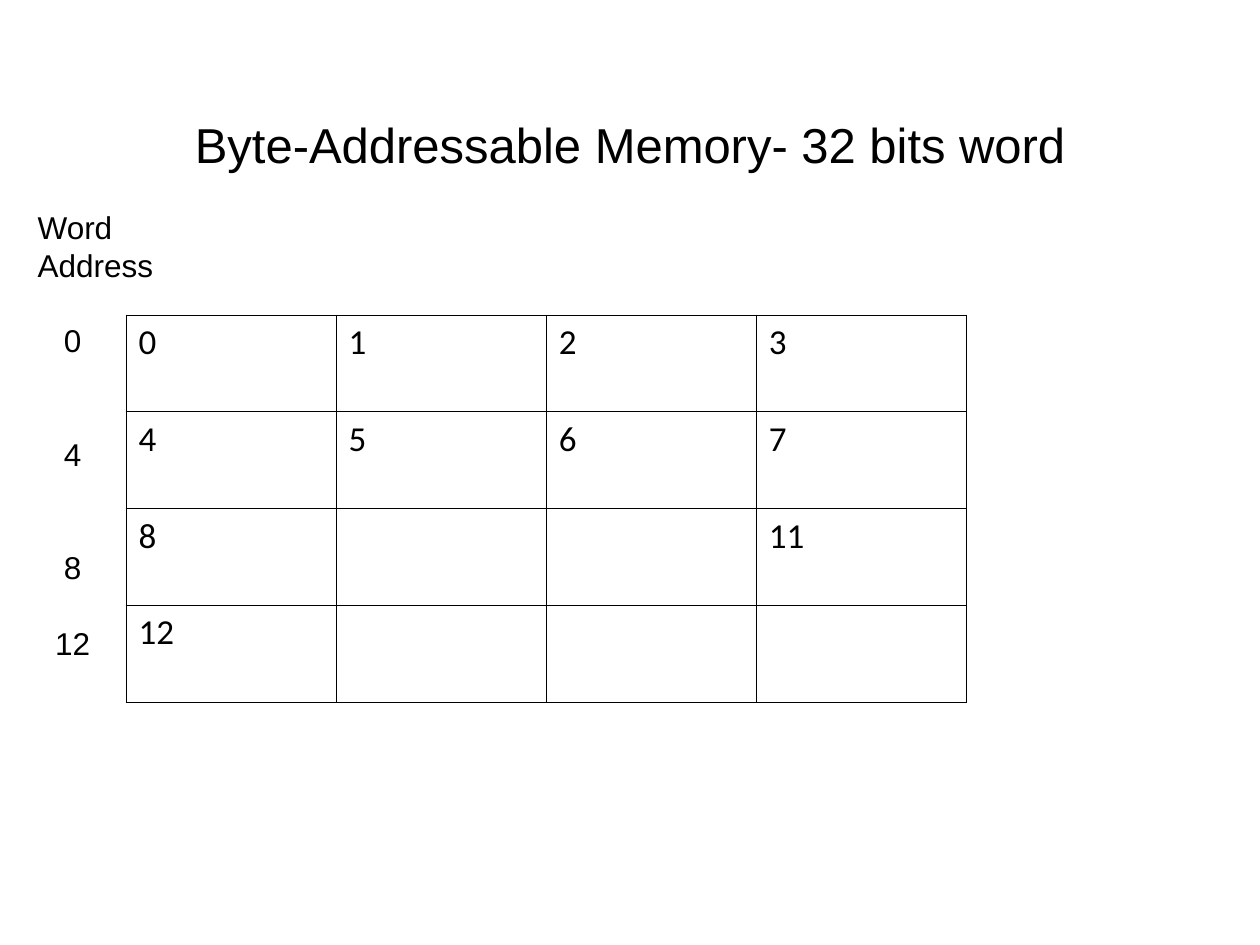
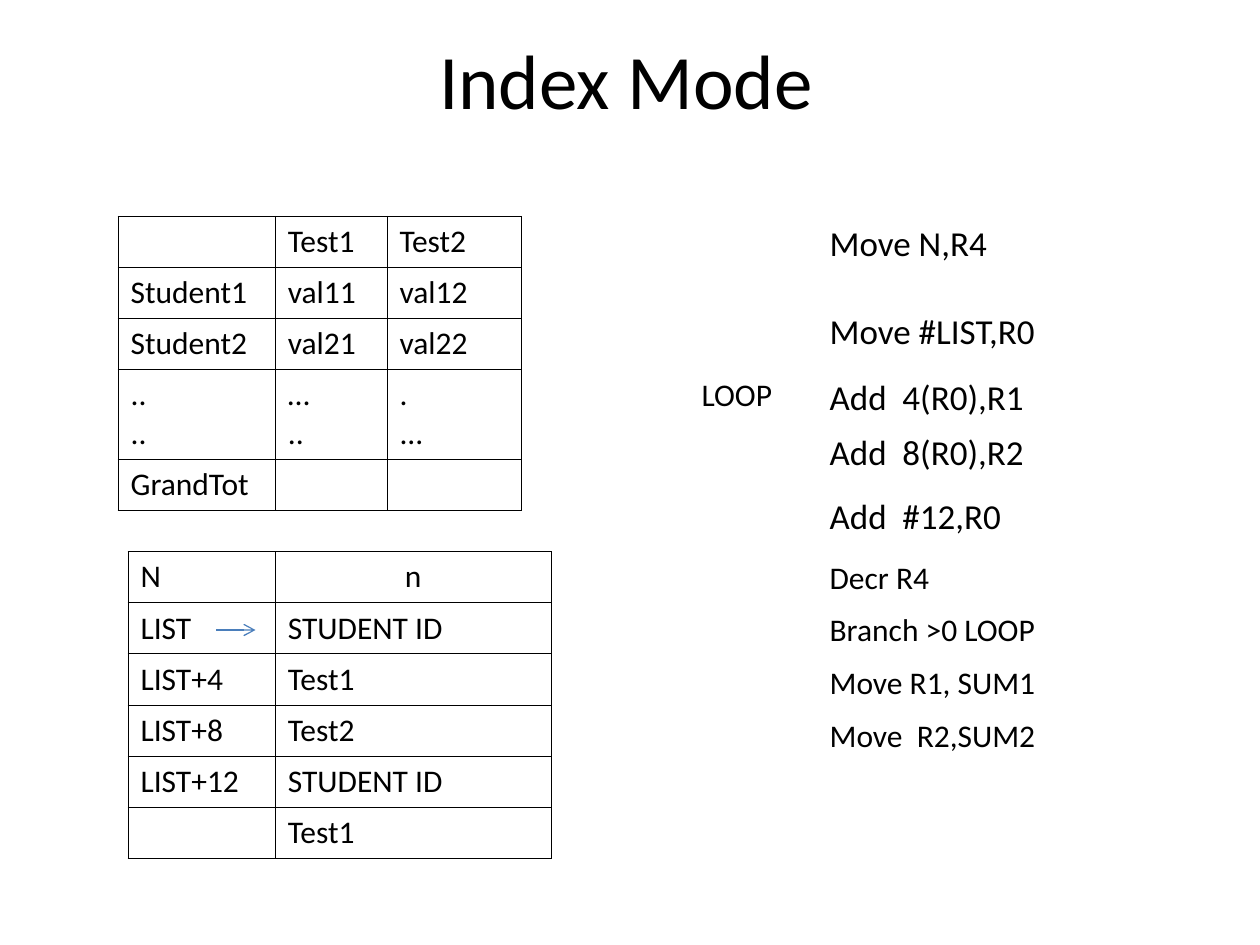
from dataclasses import dataclass

from lxml import etree
from pptx import Presentation
from pptx.dml.color import RGBColor
from pptx.enum.shapes import MSO_CONNECTOR
from pptx.enum.text import MSO_ANCHOR, MSO_AUTO_SIZE, PP_ALIGN
from pptx.oxml.ns import qn
from pptx.util import Cm, Pt

LINE = MSO_CONNECTOR.STRAIGHT
TOP, MIDDLE = MSO_ANCHOR.TOP, MSO_ANCHOR.MIDDLE
FIXED = MSO_AUTO_SIZE.NONE
CENTER = PP_ALIGN.CENTER


@dataclass(frozen=True)
class Theme:
    ink: str = "000000"
    paper: str = "FFFFFF"
    arrow: str = "4A7EBB"
    sans: str = "Arial"
    body: str = "Calibri"
    small: int = 18
    large: int = 20
    head: int = 28
    title: int = 44
    rule: float = 0.45
    thick: float = 1.47
    row: float = 1.03


THEME = Theme()


def style(par, face, size):
    par.font.name = face
    par.font.size = Pt(size)
    par.font.color.rgb = RGBColor.from_string(THEME.ink)


def add_slide(deck, text, box, face, size, anchor):
    """Add a title-only slide with its title set in box."""
    slide = deck.slides.add_slide(deck.slide_layouts[5])
    title = slide.shapes.title
    title.left, title.top, title.width, title.height = map(Cm, box)
    frame = title.text_frame
    frame.text = text
    frame.auto_size = FIXED
    frame.vertical_anchor = anchor
    par = frame.paragraphs[0]
    par.alignment = CENTER
    style(par, face, size)
    return slide


def set_edges(cell, color, thick=""):
    """Rule a cell in color, or not at all; thick names its heavy side."""
    props = cell._tc.get_or_add_tcPr()
    for spot, side in enumerate(("lnL", "lnR", "lnT", "lnB")):
        width = THEME.thick if side == thick else THEME.rule
        edge = etree.Element(qn(f"a:{side}"), w=str(Pt(width)))
        if color:
            fill = etree.SubElement(edge, qn("a:solidFill"))
            etree.SubElement(fill, qn("a:srgbClr"), val=color)
        else:
            etree.SubElement(edge, qn("a:noFill"))
        props.insert(spot, edge)


def add_grid(slide, left, top, cols, rows, cells, size=THEME.small,
             color=THEME.ink, filled=False, thick=()):
    """Add a plain table; cols and rows are widths and heights in cm."""
    frame = slide.shapes.add_table(len(rows), len(cols), Cm(left), Cm(top),
                                   Cm(sum(cols)), Cm(sum(rows)))
    grid = frame.table
    grid.first_row = grid.horz_banding = False
    for col, width in zip(grid.columns, cols):
        col.width = Cm(width)
    for spot, (row, high, texts) in enumerate(zip(grid.rows, rows, cells)):
        row.height = Cm(high)
        for cell, text in zip(row.cells, texts):
            cell.text = text
            if filled:
                cell.fill.solid()
                cell.fill.fore_color.rgb = RGBColor.from_string(THEME.paper)
            else:
                cell.fill.background()
            set_edges(cell, color, thick[spot] if thick else "")
            for par in cell.text_frame.paragraphs:
                style(par, THEME.body, size)
    return grid


def add_labels(slide, left, top):
    """List the word addresses; each has a gap in lines and an indent."""
    pitch = 21.6
    labels = [("Word", 0, 0), ("Address", 0, 0), ("0", 1, 0.53),
              ("4", 2, 0.53), ("8", 2, 0.53), ("12", 1, 0.35)]
    box = slide.shapes.add_textbox(Cm(left), Cm(top), Cm(2.9), Cm(9.4))
    frame = box.text_frame
    frame.word_wrap = True
    for spot, (text, gap, indent) in enumerate(labels):
        par = frame.add_paragraph() if spot else frame.paragraphs[0]
        par.text = text
        par.line_spacing = Pt(pitch)
        if gap:
            par.space_before = Pt(gap * pitch)
            par._p.get_or_add_pPr().set("marL", str(Cm(indent)))
        style(par, THEME.sans, THEME.small)


def add_arrow(slide, left, top, width):
    arrow = slide.shapes.add_connector(LINE, Cm(left), Cm(top),
                                       Cm(left + width), Cm(top))
    arrow.line.color.rgb = RGBColor.from_string(THEME.arrow)
    arrow.line.width = Pt(0.75)
    etree.SubElement(arrow.line._get_or_add_ln(), qn("a:tailEnd"), type="arrow")
    etree.SubElement(arrow._element.spPr, qn("a:effectLst"))


def add_bytes(slide, left, top):
    """Add the byte grid below its blank heading grid."""
    cols = [4.235] * 4
    add_grid(slide, left + 1.55, top - 2.57, cols, [THEME.row] * 2,
             [[""] * 4] * 2, color=THEME.paper, thick=("lnB", "lnT"))
    cells = [("0", "1", "2", "3"), ("4", "5", "6", "7"),
             ("8", "", "", "11"), ("12", "", "", "")]
    add_grid(slide, left, top, cols, [1.95] * 4, cells, THEME.large,
             filled=True)


def add_scores(slide, left, top):
    cells = [("", "Test1", "Test2"),
             ("Student1", "val11", "val12"),
             ("Student2", "val21", "val22"),
             ("..\n..", "…\n..", ".\n..."),
             ("GrandTot", "", "")]
    rows = [THEME.row] * 3 + [1.78, THEME.row]
    add_grid(slide, left, top, [3.17, 2.25, 2.71], rows, cells)


def add_list(slide, left, top):
    cells = [("N", "n"), ("LIST", "STUDENT ID"), ("LIST+4", "Test1"),
             ("LIST+8", "Test2"), ("LIST+12", "STUDENT ID"), ("", "Test1")]
    grid = add_grid(slide, left, top, [2.97, 5.56],
                    [THEME.row] * len(cells), cells)
    grid.cell(0, 1).text_frame.paragraphs[0].alignment = CENTER
    add_arrow(slide, left + 1.78, top + 1.58, 0.79)


def add_code(slide, left, top):
    steps = ["Move N,R4", "Move #LIST,R0", "Add  4(R0),R1", "Add  8(R0),R2",
             "Add  #12,R0", "Decr R4", "Branch >0 LOOP", "Move R1, SUM1",
             "Move  R2,SUM2", "", "", ""]
    tall = [1.78, 1.32, 1.09, 1.28, 1.28]
    rows = tall + [1.06] * (len(steps) - len(tall))
    cells = [("LOOP" if step == "Add  4(R0),R1" else "", step)
             for step in steps]
    grid = add_grid(slide, left, top, [2.58, 6.76], rows, cells, color=None)
    for row in range(len(tall)):
        par = grid.cell(row, 1).text_frame.paragraphs[0]
        par.font.size = Pt(THEME.large)


def memory_slide(deck):
    slide = add_slide(deck, "Byte-Addressable Memory- 32 bits word",
                      (3.5, 2.18, 18.4, 1.45), THEME.sans, THEME.head, TOP)
    add_bytes(slide, 2.54, 6.35)
    add_labels(slide, 0.51, 4.07)


def index_slide(deck):
    slide = add_slide(deck, "Index Mode", (1.19, 0, 22.86, 3.18),
                      THEME.body, THEME.title, MIDDLE)
    add_scores(slide, 2.38, 4.36)
    add_list(slide, 2.58, 11.12)
    add_code(slide, 13.89, 4.37)


def main():
    deck = Presentation()
    deck.slide_width, deck.slide_height = Cm(25.4), Cm(19.05)
    memory_slide(deck)
    index_slide(deck)
    deck.save("out.pptx")


if __name__ == "__main__":
    main()
